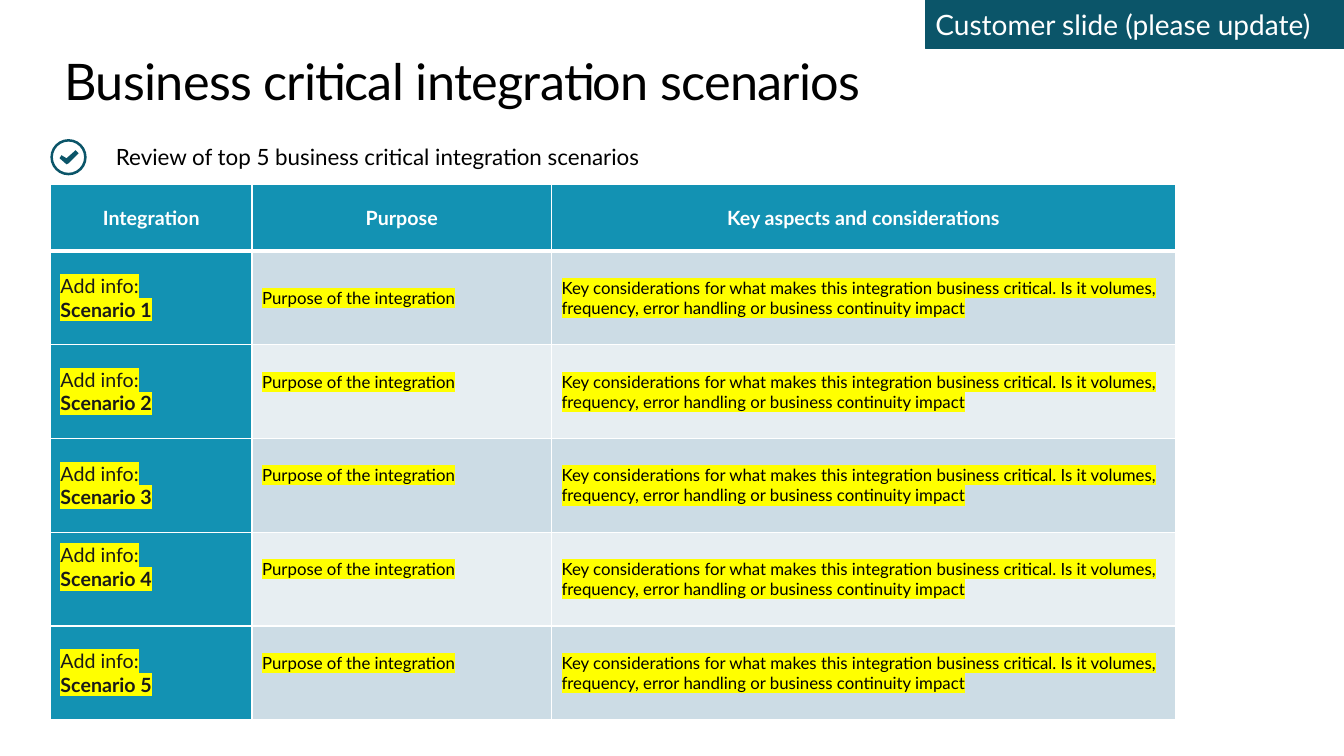
from pptx import Presentation
from pptx.dml.color import RGBColor
from pptx.enum.shapes import MSO_SHAPE
from pptx.enum.text import MSO_ANCHOR, MSO_AUTO_SIZE, PP_ALIGN
from pptx.oxml.ns import qn
from pptx.util import Inches, Pt
from lxml import etree

FONT = "Lato"
BLACK = RGBColor(0x00, 0x00, 0x00)
WHITE = RGBColor(0xFF, 0xFF, 0xFF)
INK = RGBColor(0x19, 0x19, 0x19)
PETROL = RGBColor(0x0B, 0x55, 0x69)
TEAL = RGBColor(0x13, 0x92, 0xB3)
BAND_DARK = RGBColor(0xCC, 0xDC, 0xE5)
BAND_LIGHT = RGBColor(0xE7, 0xEE, 0xF2)
YELLOW = RGBColor(0xFF, 0xFF, 0x00)

LEFT, CENTER = PP_ALIGN.LEFT, PP_ALIGN.CENTER
TOP, MIDDLE = MSO_ANCHOR.TOP, MSO_ANCHOR.MIDDLE
NO_AUTOFIT = MSO_AUTO_SIZE.NONE
RECTANGLE, DONUT = MSO_SHAPE.RECTANGLE, MSO_SHAPE.DONUT

HEADERS = ["Integration", "Purpose", "Key aspects and considerations"]
PURPOSE = "Purpose of the integration"
CONSIDERATIONS = (
    "Key considerations for what makes this integration business critical. "
    "Is it volumes, frequency, error handling or business continuity impact"
)
SCENARIO_COUNT = 5
COLUMN_WIDTHS = [2, 2.97, 6.19]
HEADER_HEIGHT, ROW_HEIGHT = 0.66, 0.93
CHECK_MARK = [(0.75, 1.49), (0.66, 1.57), (0.61, 1.54), (0.59, 1.57),
              (0.66, 1.63), (0.68, 1.62), (0.78, 1.52)]


def add_run(p, text, size, color, bold=False, highlight=None):
    r = p.add_run()
    r.text = text
    r.font.name = FONT
    r.font.size = Pt(size)
    r.font.bold = bold
    r.font.color.rgb = color
    if highlight is not None:
        mark = etree.Element(qn("a:highlight"))
        etree.SubElement(mark, qn("a:srgbClr"), val=str(highlight))
        r._r.get_or_add_rPr().find(qn("a:solidFill")).addnext(mark)
    return r


def set_frame(tf, anchor, left=0.1, top=0.05, right=0.1, bottom=0.05):
    tf.word_wrap = True
    tf.auto_size = NO_AUTOFIT
    tf.vertical_anchor = anchor
    tf.margin_left, tf.margin_right = Inches(left), Inches(right)
    tf.margin_top, tf.margin_bottom = Inches(top), Inches(bottom)


def place(s, left, top, width, height):
    s.left, s.top = Inches(left), Inches(top)
    s.width, s.height = Inches(width), Inches(height)


def paint(s, color):
    s.shadow.inherit = False
    s.fill.solid()
    s.fill.fore_color.rgb = color
    s.line.fill.background()


def add_title(slide, text):
    title = slide.shapes.title
    place(title, 0.64, 0.5, 12.05, 0.61)
    set_frame(title.text_frame, TOP, 0, 0, 0, 0)
    p = title.text_frame.paragraphs[0]
    p.alignment = LEFT
    r = add_run(p, text, 36, BLACK)
    r._r.get_or_add_rPr().set("spc", "-50")


def add_subtitle(slide, text):
    box = slide.shapes.add_textbox(
        Inches(0.55), Inches(1.27), Inches(12.28), Inches(0.57))
    set_frame(box.text_frame, MIDDLE, left=0.6)
    add_run(box.text_frame.paragraphs[0], text, 16, BLACK)


def add_check_icon(slide):
    ring = slide.shapes.add_shape(
        DONUT, Inches(0.5), Inches(1.38), Inches(0.36), Inches(0.36))
    ring.adjustments[0] = 0.07
    paint(ring, PETROL)
    points = [(Inches(x), Inches(y)) for x, y in CHECK_MARK]
    builder = slide.shapes.build_freeform(*points[0])
    builder.add_line_segments(points[1:], close=True)
    paint(builder.convert_to_shape(), PETROL)


def add_banner(slide, text):
    banner = slide.shapes.add_shape(
        RECTANGLE, Inches(9.18), 0, Inches(4.16), Inches(0.48))
    paint(banner, PETROL)
    banner.line.color.rgb = PETROL
    banner.line.width = Pt(0.25)
    set_frame(banner.text_frame, MIDDLE)
    p = banner.text_frame.paragraphs[0]
    p.alignment = LEFT
    add_run(p, text, 20, WHITE)


def set_borders(cell, **widths):
    """Draw white borders, 1 pt unless a width is given for the side."""
    tc_pr = cell._tc.get_or_add_tcPr()
    for side in ("L", "R", "T", "B"):
        width = Pt(widths.get(side, 1))
        line = etree.SubElement(tc_pr, qn("a:ln" + side), w=str(width))
        fill = etree.SubElement(line, qn("a:solidFill"))
        etree.SubElement(fill, qn("a:srgbClr"), val=str(WHITE))


def format_cell(cell, fill, bottom=0, **border_widths):
    set_borders(cell, **border_widths)
    cell.fill.solid()
    cell.fill.fore_color.rgb = fill
    cell.vertical_anchor = MIDDLE
    cell.margin_left = cell.margin_right = cell.margin_top = 0
    cell.margin_bottom = Inches(bottom)


def fill_body_cell(cell, lines, size, color):
    """Write highlighted (text, bold) lines, one paragraph each."""
    tf = cell.text_frame
    for i, (text, bold) in enumerate(lines):
        p = tf.add_paragraph() if i else tf.paragraphs[0]
        p_pr = p._p.get_or_add_pPr()
        p_pr.set("marL", str(Inches(0.1)))
        p_pr.set("indent", "0")
        add_run(p, text, size, color, bold, YELLOW)


def add_scenario_table(slide):
    height = HEADER_HEIGHT + SCENARIO_COUNT * ROW_HEIGHT
    table = slide.shapes.add_table(
        SCENARIO_COUNT + 1, len(HEADERS), Inches(0.5), Inches(1.83),
        Inches(sum(COLUMN_WIDTHS)), Inches(height)).table
    for column, width in zip(table.columns, COLUMN_WIDTHS):
        column.width = Inches(width)
    for i, row in enumerate(table.rows):
        row.height = Inches(ROW_HEIGHT if i else HEADER_HEIGHT)

    for i, header in enumerate(HEADERS):
        cell = table.cell(0, i)
        format_cell(cell, TEAL, B=3)
        p = cell.text_frame.paragraphs[0]
        p.alignment = CENTER
        add_run(p, header, 14, WHITE, bold=True)

    for n in range(1, SCENARIO_COUNT + 1):
        band = BAND_DARK if n % 2 else BAND_LIGHT
        top_border = 3 if n == 1 else 1
        scenario, purpose, considerations = (table.cell(n, i) for i in range(3))
        format_cell(scenario, TEAL, 0.24 if n == 4 else 0, T=top_border)
        format_cell(purpose, band, 0 if n == 1 else 0.2, T=top_border)
        format_cell(considerations, band, T=top_border)
        fill_body_cell(scenario, [("Add info:", False), (f"Scenario {n}", True)],
                       14, INK)
        fill_body_cell(purpose, [(PURPOSE, False)], 12, BLACK)
        fill_body_cell(considerations, [(CONSIDERATIONS, False)], 12, BLACK)


def main():
    prs = Presentation()
    prs.slide_width, prs.slide_height = Inches(13.33), Inches(7.5)
    slide = prs.slides.add_slide(prs.slide_layouts[5])
    add_title(slide, "Business critical integration scenarios")
    add_subtitle(slide, "Review of top 5 business critical integration scenarios")
    add_check_icon(slide)
    add_banner(slide, "Customer slide (please update)")
    add_scenario_table(slide)
    prs.save("out.pptx")


if __name__ == "__main__":
    main()
